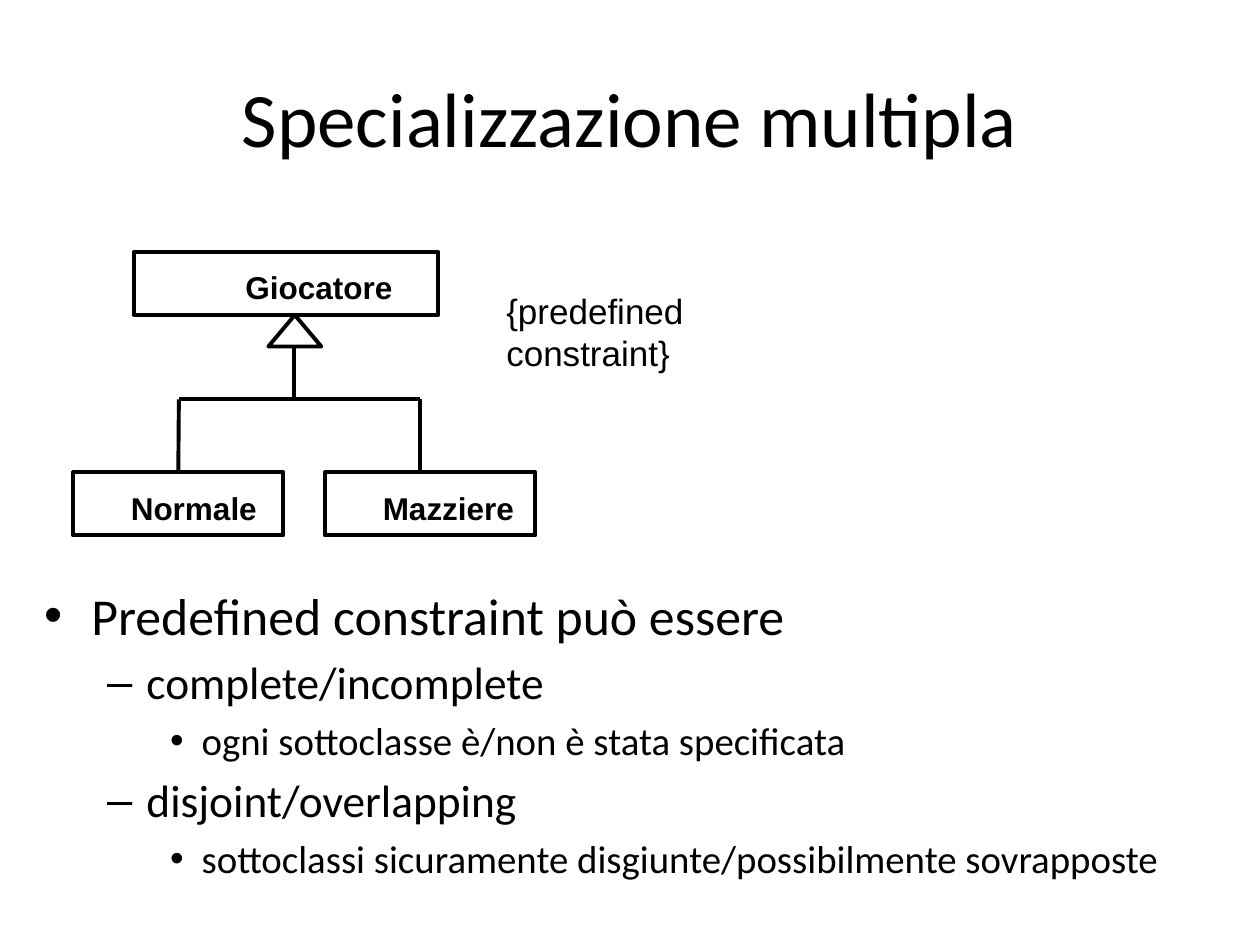
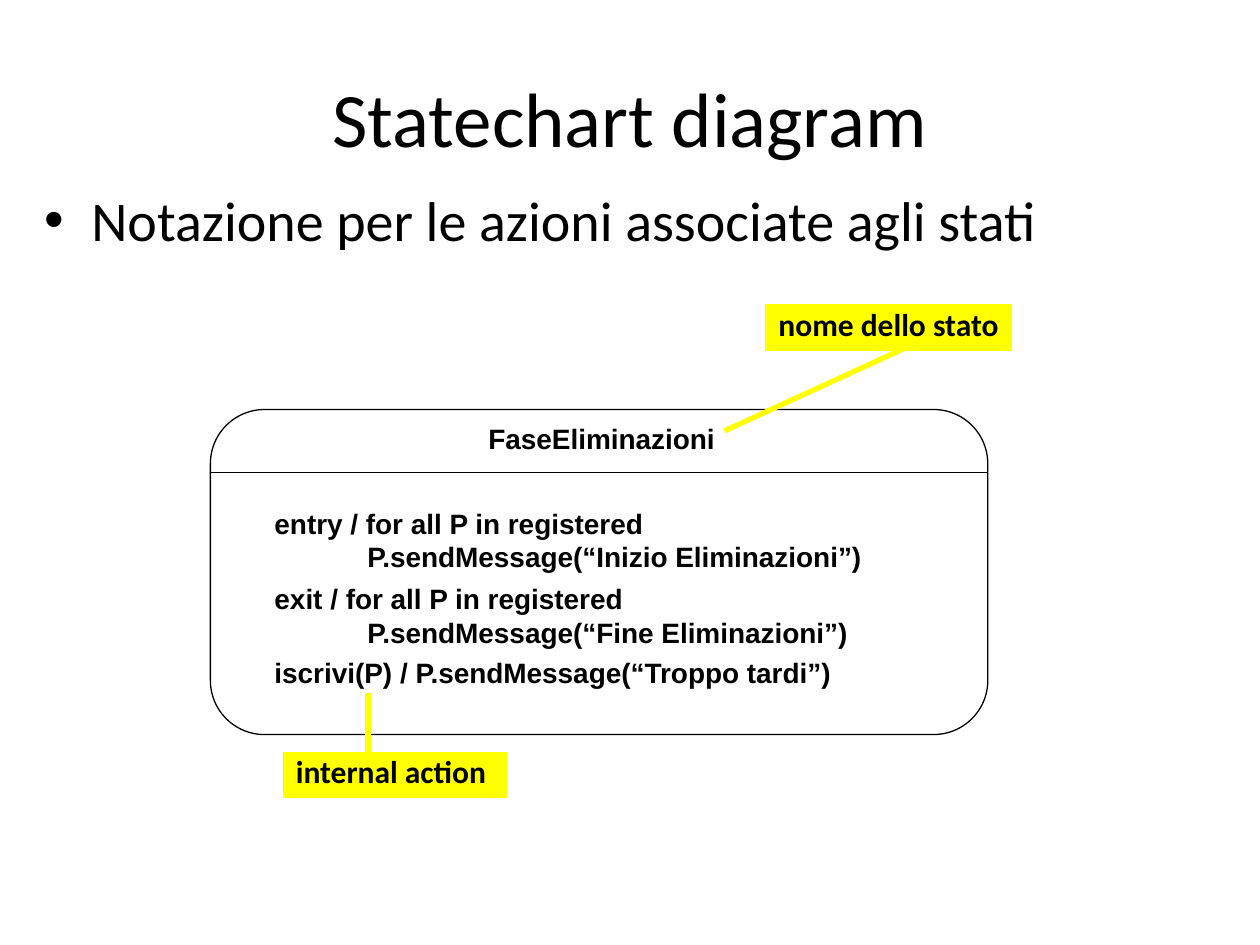
"""Build two slides on UML specialization and state actions."""
from lxml.etree import SubElement
from pptx import Presentation
from pptx.dml.color import RGBColor
from pptx.enum.shapes import MSO_CONNECTOR, MSO_SHAPE
from pptx.enum.text import MSO_ANCHOR, MSO_AUTO_SIZE, PP_ALIGN
from pptx.oxml.ns import qn
from pptx.util import Inches, Pt

BLACK, YELLOW = "000000", "FFFF00"


def stroke(item, tone=BLACK, width=2.25):
    """Give a shape or connector a plain line without shadow."""
    item.line.color.rgb = RGBColor.from_string(tone)
    item.line.width = Pt(width)
    SubElement(item._element.spPr, qn("a:effectLst"))


def note(slide, at, lines, size, face="Arial", bold=True):
    """Add a text box that fits its lines and return it."""
    box = slide.shapes.add_textbox(*map(Inches, at))
    frame = box.text_frame
    frame.text = "\n".join(lines)
    frame.word_wrap = False
    frame.auto_size = MSO_AUTO_SIZE.SHAPE_TO_FIT_TEXT
    for para in frame.paragraphs:
        para.font.name, para.font.size, para.font.bold = face, Pt(size), bold
        para.font.color.rgb = RGBColor.from_string(BLACK)
    return box


deck = Presentation()
deck.slide_width, deck.slide_height = Inches(10), Inches(7.5)

pages = [
    ("Specializzazione multipla", 4.58, 2.75, [
        (0, 29.6, "Predefined constraint può essere"),
        (1, 25.9, "complete/incomplete"),
        (2, 22.2, "ogni sottoclasse è/non è stata specificata"),
        (1, 25.9, "disjoint/overlapping"),
        (2, 22.2, "sottoclassi sicuramente disgiunte/possibilmente sovrapposte"),
    ]),
    ("Statechart diagram", 1.42, 0.92, [
        (0, 32, "Notazione per le azioni associate agli stati"),
    ]),
]
slides = []
for head, top, high, items in pages:
    slide = deck.slides.add_slide(deck.slide_layouts[1])
    slides.append(slide)
    title, body = slide.placeholders
    title.left, title.top = Inches(0.5), Inches(0.3)
    title.width, title.height = Inches(9), Inches(1.25)
    title.text_frame.text = head
    title.text_frame.vertical_anchor = MSO_ANCHOR.MIDDLE
    para = title.text_frame.paragraphs[0]
    para.alignment = PP_ALIGN.CENTER
    para.font.name, para.font.size = "Calibri", Pt(44)
    body.left, body.top = Inches(0.25), Inches(top)
    body.width, body.height = Inches(9.5), Inches(high)
    body.text_frame.text = "\n".join(text for _, _, text in items)
    for para, (level, size, _) in zip(body.text_frame.paragraphs, items):
        para.level = level
        para.font.name, para.font.size = "Calibri", Pt(size)
        para.font.color.rgb = RGBColor.from_string(BLACK)
    body.text_frame.paragraphs[0].space_before = Pt(0)

tree, state = slides

nodes = {}
for name, left, top, width, inset, wide in [
    ("Giocatore", 1.06, 2, 2.42, 0.79, 1.37),
    ("Mazziere", 2.58, 3.75, 1.67, 0.36, 1.24),
    ("Normale", 0.58, 3.75, 1.67, 0.36, 1.2),
]:
    node = tree.shapes.add_shape(
        MSO_SHAPE.RECTANGLE, Inches(left), Inches(top), Inches(width), Inches(0.5))
    node.fill.background()
    stroke(node)
    nodes[name] = node
    note(tree, (left + inset, top + 0.08, wide, 0.4), [name], 18)

tip = tree.shapes.add_shape(
    MSO_SHAPE.FLOWCHART_EXTRACT, Inches(2.13), Inches(2.5), Inches(0.42), Inches(0.25))
tip.fill.background()
stroke(tip)
for ends, goal in [
    ((2.33, 2.75, 2.33, 3.17), None),
    ((3.33, 3.17, 3.33, 3.75), None),
    ((1.42, 3.17, 1.42, 3.75), "Normale"),
    ((1.42, 3.17, 3.33, 3.17), None),
]:
    link = tree.shapes.add_connector(MSO_CONNECTOR.STRAIGHT, *map(Inches, ends))
    if goal:
        link.end_connect(nodes[goal], 0)
    stroke(link)
rule = note(tree, (3.92, 2.25, 2.6, 0.72), ["{predefined constraint}"], 20, bold=False)
rule.text_frame.word_wrap = True

frame = state.shapes.add_shape(
    MSO_SHAPE.FLOWCHART_ALTERNATE_PROCESS,
    Inches(1.67), Inches(3.25), Inches(6.17), Inches(2.58))
frame.fill.background()
stroke(frame, width=0.75)
for ends, tone, width in [
    ((1.67, 3.75, 7.83, 3.75), BLACK, 0.75),
    ((7.58, 2.58, 5.75, 3.42), YELLOW, 3),
    ((2.92, 6.08, 2.92, 5.5), YELLOW, 3),
]:
    link = state.shapes.add_connector(MSO_CONNECTOR.STRAIGHT, *map(Inches, ends))
    stroke(link, tone, width)

name = note(state, (3.77, 3.3, 2.01, 0.37), ["FaseEliminazioni"], 16)
name.text_frame.paragraphs[0].alignment = PP_ALIGN.CENTER
for top, wide, high, lines in [
    (3.97, 4.92, 0.64, ["entry / for all P in registered",
                        "            P.sendMessage(“Inizio Eliminazioni”)"]),
    (4.57, 4.81, 0.64, ["exit / for all P in registered",
                        "            P.sendMessage(“Fine Eliminazioni”)"]),
    (5.15, 4.68, 0.37, ["iscrivi(P) / P.sendMessage(“Troppo tardi”)"]),
]:
    note(state, (2.08, top, wide, high), lines, 16)

for left, top, wide, text in [
    (6.08, 2.42, 1.95, "nome dello stato"),
    (2.25, 5.97, 1.77, "internal action"),
]:
    tag = note(state, (left, top, wide, 0.36), [text], 18, "Calibri")
    tag.text_frame.paragraphs[0].line_spacing = Pt(18)
    tag.fill.solid()
    tag.fill.fore_color.rgb = RGBColor.from_string(YELLOW)
    stroke(tag, YELLOW, 0.75)

deck.save("out.pptx")
